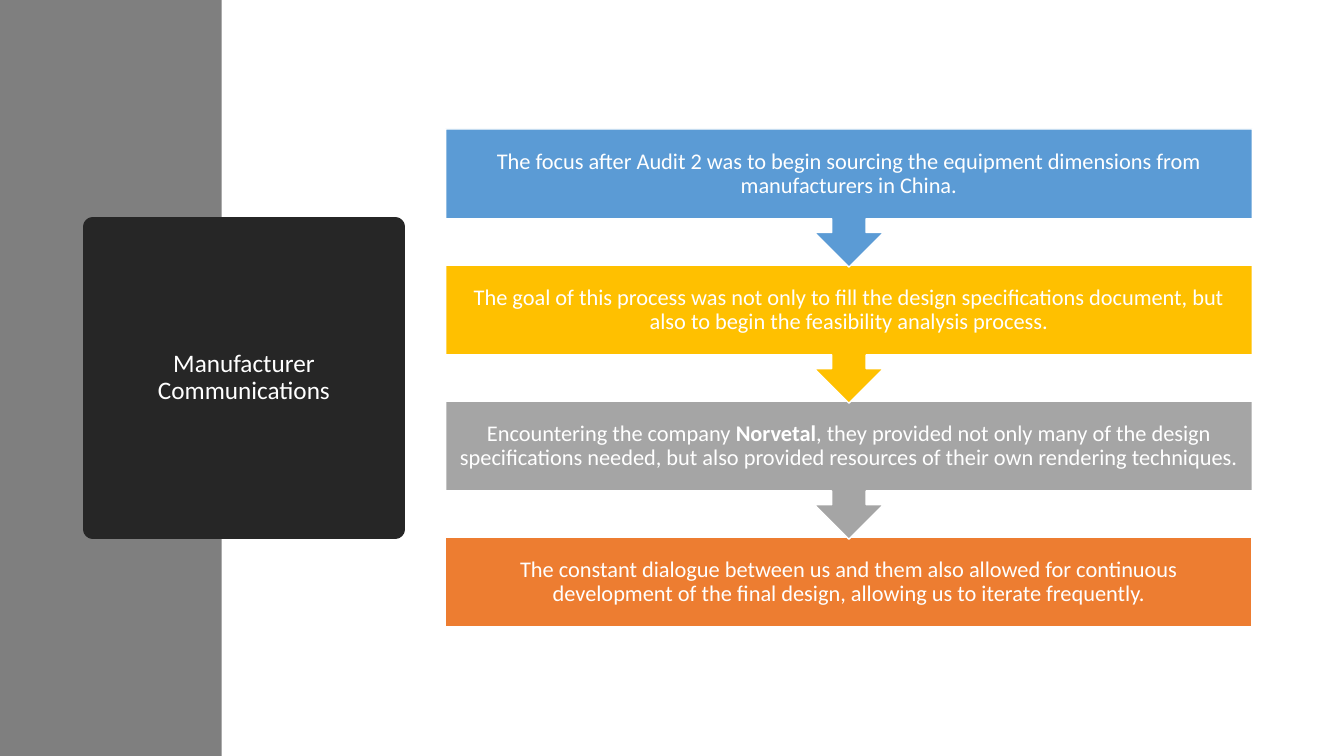
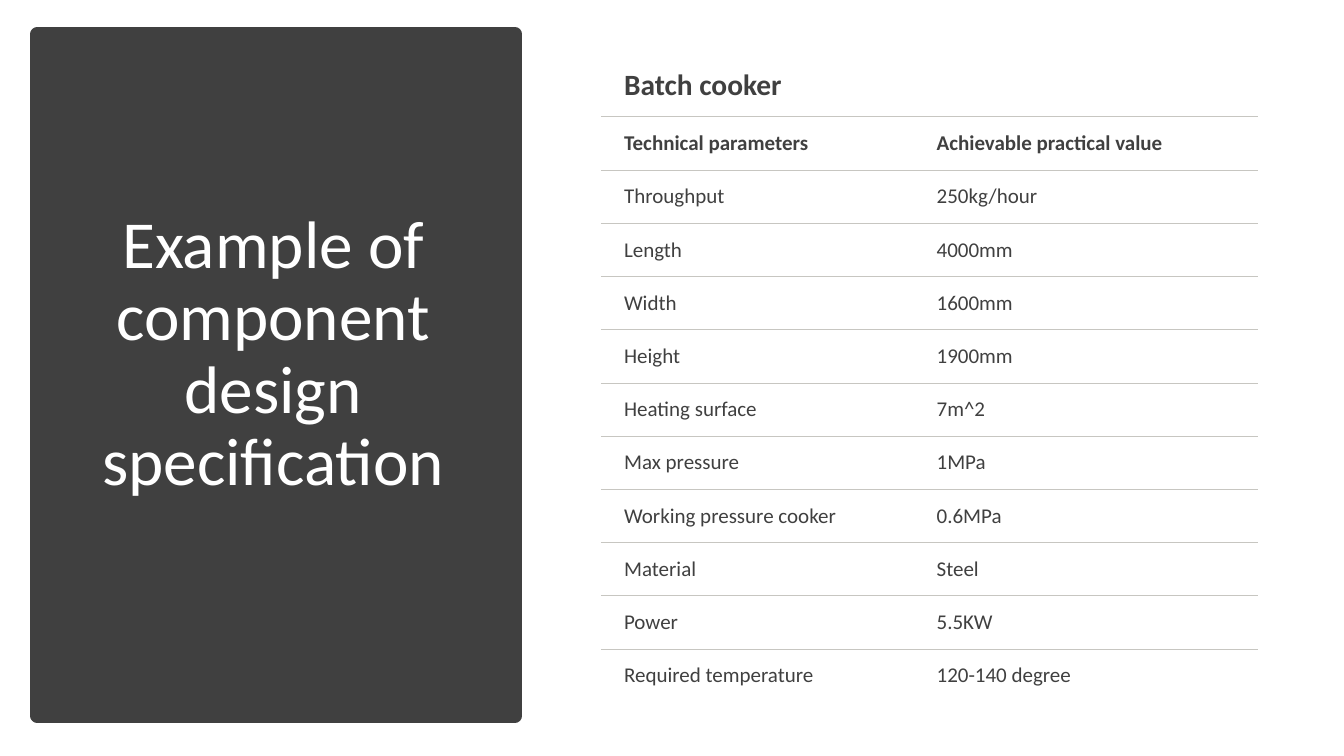
from lxml.etree import SubElement
from pptx import Presentation
from pptx.dml.color import RGBColor
from pptx.enum.shapes import MSO_SHAPE as Preset
from pptx.enum.text import MSO_ANCHOR as Anchor, MSO_AUTO_SIZE as AutoSize, PP_ALIGN as Align
from pptx.oxml import parse_xml
from pptx.oxml.ns import nsdecls, qn
from pptx.util import Inches, Pt

WHITE = RGBColor(0xFF, 0xFF, 0xFF)
BAND = RGBColor(0x7F, 0x7F, 0x7F)
BLACK = RGBColor(0x26, 0x26, 0x26)
DARK = RGBColor(0x40, 0x40, 0x40)
RULE = RGBColor(0xC7, 0xC6, 0xC1)
BLUE = RGBColor(0x5B, 0x9B, 0xD5)
GOLD = RGBColor(0xFF, 0xC0, 0x00)
GREY = RGBColor(0xA5, 0xA5, 0xA5)
ORANGE = RGBColor(0xED, 0x7D, 0x31)

STEPS = [
    (BLUE, ["The focus after Audit 2 was to begin sourcing the equipment dimensions "
            "from manufacturers in China."]),
    (GOLD, ["The goal of this process was not only to fill the design specifications "
            "document, but also to begin the feasibility analysis process."]),
    (GREY, ["Encountering the company ", "Norvetal",
            ", they provided not only many of the design specifications needed, but "
            "also provided resources of their own rendering techniques."]),
    (ORANGE, ["The constant dialogue between us and them also allowed for continuous "
              "development of the final design, allowing us to iterate frequently."]),
]

COOKER = [
    ("Batch cooker", ""),
    ("Technical parameters", "Achievable practical value"),
    ("Throughput", "250kg/hour"),
    ("Length", "4000mm"),
    ("Width", "1600mm"),
    ("Height", "1900mm"),
    ("Heating surface", "7m^2"),
    ("Max pressure", "1MPa"),
    ("Working pressure cooker", "0.6MPa"),
    ("Material", "Steel"),
    ("Power", "5.5KW"),
    ("Required temperature", "120-140 degree"),
]


def apply(target, values):
    for name, value in values.items():
        setattr(target, name, value)


class Deck:
    """Hold the shared style and the current slide, and draw its elements."""

    font_name = "Calibri"
    step_margins = dict.fromkeys(
        ("margin_left", "margin_top", "margin_right", "margin_bottom"), Inches(0.12))
    cell_format = {
        "margin_left": Inches(0.23), "margin_right": Inches(0.17),
        "margin_top": Inches(0.12), "margin_bottom": Inches(0.12),
        "vertical_anchor": Anchor.MIDDLE,
    }

    def __init__(self):
        self.presentation = Presentation()
        apply(self.presentation, {"slide_width": Inches(13.33), "slide_height": Inches(7.5)})
        self.slide = None

    def new_slide(self):
        title_only = self.presentation.slide_layouts[5]
        self.slide = self.presentation.slides.add_slide(title_only)

    def put_text(self, frame, parts, size, color, align=Align.CENTER, spacing=0.9, bold=False):
        paragraph = frame.paragraphs[0]
        apply(paragraph, {"alignment": align, "line_spacing": spacing})
        for index, text in enumerate(parts):
            run = paragraph.add_run()
            run.text = text
            apply(run.font, {"name": self.font_name, "size": Pt(size),
                             "bold": bold or index % 2 == 1})
            run.font.color.rgb = color

    def paint(self, shape, fill, line=None, width=0):
        shape.fill.solid()
        shape.fill.fore_color.rgb = fill
        if line is None:
            shape.line.fill.background()
        else:
            shape.line.color.rgb = line
            shape.line.width = Pt(width)

    def box(self, preset, left, top, width, height, fill, line=None, line_width=0):
        shape = self.slide.shapes.add_shape(
            preset, Inches(left), Inches(top), Inches(width), Inches(height))
        shape.shadow.inherit = False
        self.paint(shape, fill, line, line_width)
        return shape

    def title(self, text, left, top, width, height, size):
        title = self.slide.shapes.title
        self.slide.shapes.element.append(title.element)
        apply(title, {"left": Inches(left), "top": Inches(top),
                      "width": Inches(width), "height": Inches(height)})
        apply(title.text_frame, {"word_wrap": True, "auto_size": AutoSize.NONE,
                                 "vertical_anchor": Anchor.MIDDLE})
        self.put_text(title.text_frame, [text], size, WHITE)
        return title

    def step(self, preset, left, top, width, height, fill, parts):
        shape = self.box(preset, left, top, width, height, fill, WHITE, 1)
        apply(shape.text_frame, {"word_wrap": True, "vertical_anchor": Anchor.MIDDLE,
                                 **self.step_margins})
        self.put_text(shape.text_frame, parts, 16, WHITE)

    def cell_borders(self, cell, top, bottom):
        properties = cell._tc.get_or_add_tcPr()
        sides = (("lnL", False), ("lnR", False), ("lnT", top), ("lnB", bottom))
        for index, (tag, visible) in enumerate(sides):
            border = parse_xml(f'<a:{tag} {nsdecls("a")} w="{Pt(0.75)}"/>')
            if visible:
                fill = SubElement(border, qn("a:solidFill"))
                SubElement(fill, qn("a:srgbClr")).set("val", str(RULE))
            else:
                SubElement(border, qn("a:noFill"))
            properties.insert(index, border)

    def table(self, rows, left, top, widths, height, head_height):
        frame = self.slide.shapes.add_table(
            len(rows), len(widths), Inches(left), Inches(top),
            Inches(sum(widths)), Inches(height))
        table = frame.table
        apply(table, {"first_row": False, "horz_banding": False})
        for column, width in zip(table.columns, widths):
            column.width = Inches(width)
        last = len(rows) - 1
        row_height = (height - head_height) / last
        for index, texts in enumerate(rows):
            table.rows[index].height = Inches(row_height if index else head_height)
            for cell, text in zip(table.rows[index].cells, texts):
                apply(cell, self.cell_format)
                cell.fill.background()
                self.cell_borders(cell, index > 0, index < last)
                if text:
                    self.put_text(cell.text_frame, [text], 15 if index else 21, DARK,
                                  Align.LEFT, 1.0, index < 2)


def communications(deck):
    deck.new_slide()
    deck.box(Preset.RECTANGLE, 0, 0, 2.2, 7.5, BAND)
    title = deck.title("Manufacturer Communications", 0.92, 2.25, 3, 3, 18)
    deck.paint(title, BLACK, BLACK, 13.75)
    SubElement(title.element.spPr.find(qn("a:ln")), qn("a:round"))
    last = len(STEPS) - 1
    for index, (color, parts) in reversed(list(enumerate(STEPS))):
        preset, height = ((Preset.RECTANGLE, 0.89) if index == last
                          else (Preset.DOWN_ARROW_CALLOUT, 1.37))
        deck.step(preset, 4.42, 1.28 + 1.35 * index, 8, height, color, parts)


def specification(deck):
    deck.new_slide()
    deck.box(Preset.RECTANGLE, 0.37, 0.34, 4.74, 6.76, DARK, DARK, 10)
    deck.title("Example of component design specification", 0.81, 0.81, 3.8, 5.43, 48)
    deck.table(COOKER, 5.96, 0.54, (3.1, 3.42), 6.43, 0.62)


def main():
    deck = Deck()
    communications(deck)
    specification(deck)
    deck.presentation.save("out.pptx")


if __name__ == "__main__":
    main()
